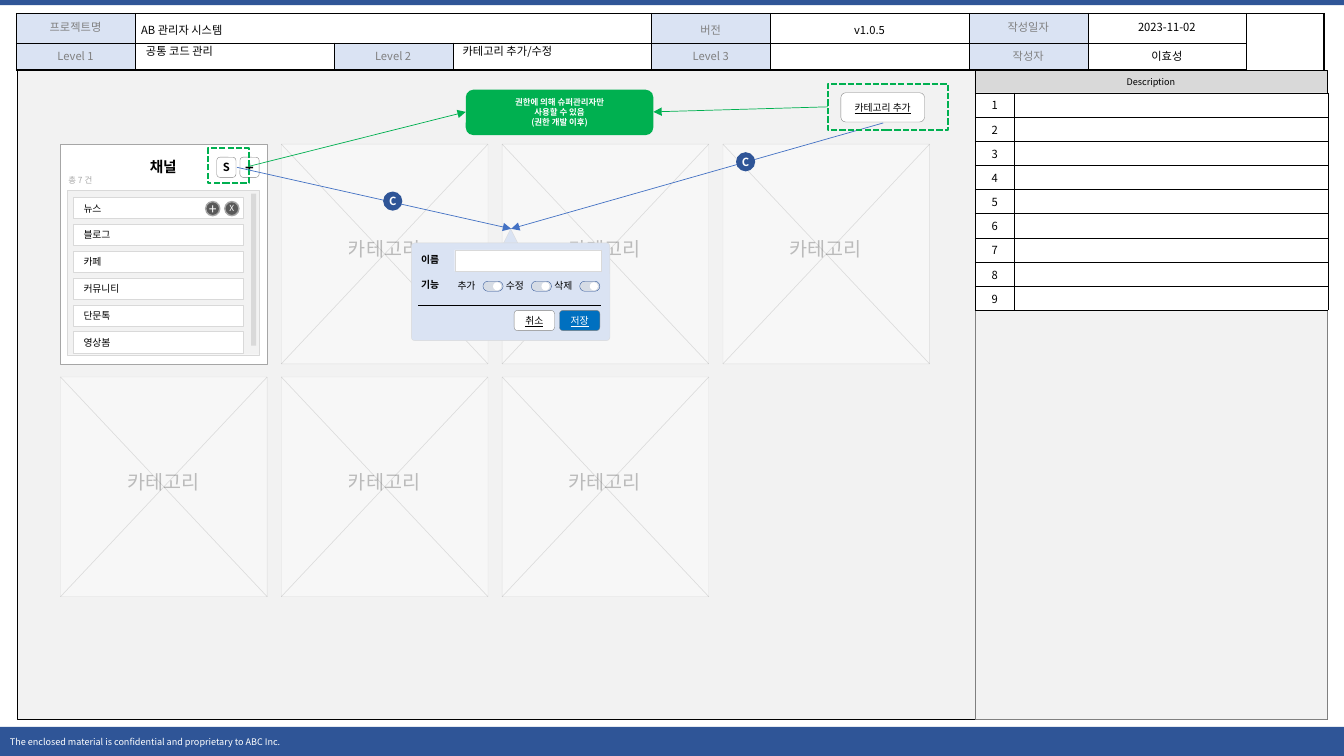
from lxml import etree
from pptx import Presentation
from pptx.dml.color import RGBColor
from pptx.enum.dml import MSO_LINE
from pptx.enum.shapes import MSO_CONNECTOR, MSO_SHAPE as S
from pptx.enum.text import MSO_ANCHOR as V, PP_ALIGN as A
from pptx.oxml.ns import qn
from pptx.util import Inches, Pt

# Content
FONT = "Noto Sans CJK KR"
FOOTER = "The enclosed material is confidential and proprietary to ABC Inc."
HEADER = [  # label, value pairs; None is covered by a merged cell
    ["프로젝트명", "AB 관리자 시스템", None, None, "버전", "v1.0.5", "작성일자", "2023-11-02", ""],
    ["Level 1", "", "Level 2", "", "Level 3", "", "작성자", "이효성", None],
]
HEADER_COLS = [1.18, 1.97, 1.18, 1.97, 1.18, 1.97, 1.18, 1.57, 0.77]
HEADER_ROWS = [0.29, 0.27]
TALL_LINES = {"AB 관리자 시스템", "버전", "v1.0.5"}
LEVELS = [(1.35, "공통 코드 관리"), (4.49, "카테고리 추가/수정")]
CHANNELS = ["뉴스", "블로그", "카페", "커뮤니티", "단문톡", "영상봄"]
PERMISSIONS = ["추가", "수정", "삭제"]
NOTICE = ["권한에 의해 슈퍼관리자만", "사용할 수 있음", "(권한 개발 이후)"]
PLACEHOLDER_CARDS = [(0, 1), (0, 2), (0, 3), (1, 0), (1, 1), (1, 2)]

# Colours
NAVY, PALE, BLUE, GREEN = "2F5597", "DAE3F3", "4472C4", "00B050"
BLACK, WHITE, GRAY, LIGHT, PANEL = "000000", "FFFFFF", "808080", "D9D9D9", "F2F2F2"

# Card grid
CARD_W, CARD_H = 2.05, 2.18
CARD_LEFT, CARD_TOP, STEP_X, STEP_Y = 0.6, 1.43, 2.19, 2.31

prs = Presentation()
prs.slide_width, prs.slide_height = Inches(13.33), Inches(7.5)
slide = prs.slides.add_slide(prs.slide_layouts[6])
shapes = slide.shapes


def paint(color_format, color, alpha=None):
    color_format.rgb = RGBColor.from_string(color)
    if alpha is not None:
        for srgb in color_format._xFill.iter(qn("a:srgbClr")):
            etree.SubElement(srgb, qn("a:alpha"), val=str(alpha * 1000))


def fill_with(fill, color, alpha=None):
    fill.solid()
    paint(fill.fore_color, color, alpha)


def write(frame, lines, size, color=BLACK, bold=False, underline=False, align=A.CENTER,
          anchor=V.MIDDLE, inset=(0.1, 0.05), wrap=True, alpha=None, spacing=None):
    frame.word_wrap = wrap
    frame.vertical_anchor = anchor
    frame.margin_left = frame.margin_right = Inches(inset[0])
    frame.margin_top = frame.margin_bottom = Inches(inset[1])
    for i, line in enumerate([lines] if isinstance(lines, str) else lines):
        para = frame.add_paragraph() if i else frame.paragraphs[0]
        para.alignment = align
        if spacing:
            para.line_spacing = spacing
        if not line:  # keeps an empty cell as low as its row
            etree.SubElement(para._p, qn("a:endParaRPr"), sz=str(int(size * 100)))
            continue
        run = para.add_run()
        run.text = line
        run.font.name, run.font.size = FONT, Pt(size)
        run.font.bold, run.font.underline = bold, underline
        fill_with(run.font.fill, color, alpha)
        rpr = run._r.get_or_add_rPr()
        etree.SubElement(rpr, qn("a:ea"), typeface=FONT)


def box(x, y, w, h, fill=None, line=None, width=0.25, kind=S.RECTANGLE, adj=None,
        dash=None, fill_alpha=None, line_alpha=None):
    shape = shapes.add_shape(kind, Inches(x), Inches(y), Inches(w), Inches(h))
    shape.shadow.inherit = False
    if adj is not None:
        shape.adjustments[0] = adj
    if fill:
        fill_with(shape.fill, fill, fill_alpha)
    else:
        shape.fill.background()
    if line:
        fill_with(shape.line.fill, line, line_alpha)
        shape.line.width = Pt(width)
        if dash:
            shape.line.dash_style = dash
    else:
        shape.line.fill.background()
    return shape


def label(x, y, w, h, lines, size, **style):
    frame = shapes.add_textbox(Inches(x), Inches(y), Inches(w), Inches(h)).text_frame
    write(frame, lines, size, **{"anchor": V.TOP, **style})


def connect(start, end, color, alpha=None, arrow=False):
    line = shapes.add_connector(MSO_CONNECTOR.STRAIGHT, *map(Inches, (*start, *end)))
    fill_with(line.line.fill, color, alpha)
    line.line.width = Pt(0.5)
    if arrow:
        etree.SubElement(line.line._get_or_add_ln(), qn("a:tailEnd"), type="triangle")
    etree.SubElement(line._element.spPr, qn("a:effectLst"))


def button(x, y, w, h, text, size, fill=WHITE, color=BLACK, bold=False, underline=True):
    shape = box(x, y, w, h, fill, GRAY, kind=S.ROUNDED_RECTANGLE)
    write(shape.text_frame, text, size, color, bold, underline, inset=(0.04, 0.04))


def disc(x, y, d, text, size, fill, line=None, bold=False):
    shape = box(x, y, d, d, fill, line, 1, S.OVAL)
    write(shape.text_frame, text, size, WHITE, bold, inset=(0, 0), wrap=False)


def grid(x, y, cols, rows):
    table = shapes.add_table(len(rows), len(cols), Inches(x), Inches(y),
                             Inches(sum(cols)), Inches(sum(rows))).table
    table.first_row = table.horz_banding = False
    for col, w in zip(table.columns, cols):
        col.width = Inches(w)
    for row, h in zip(table.rows, rows):
        row.height = Inches(h)
    return table


def style_cell(cell, text, size, fill, inset, thick="", **style):
    write(cell.text_frame, text, size, inset=inset, **style)
    cell.margin_left = cell.margin_right = Inches(inset[0])
    cell.margin_top = cell.margin_bottom = Inches(inset[1])
    cell.vertical_anchor = style.get("anchor", V.MIDDLE)
    fill_with(cell.fill, fill)
    props = cell._tc.get_or_add_tcPr()
    for i, side in enumerate("LRTB"):
        edge = etree.Element(qn("a:ln" + side), w=str(Pt(1.5 if side in thick else 0.25)))
        solid = etree.SubElement(edge, qn("a:solidFill"))
        etree.SubElement(solid, qn("a:srgbClr"), val=BLACK)
        props.insert(i, edge)


# Top and bottom bars
box(0, 0, 13.33, 0.05, NAVY)
footer = box(0, 7.21, 13.33, 0.29, NAVY)
write(footer.text_frame, FOOTER, 6.5, WHITE, align=A.LEFT)

# Header table
header = grid(0.16, 0.13, HEADER_COLS, HEADER_ROWS)
for r, texts in enumerate(HEADER):
    for c, text in enumerate(texts):
        is_label = c % 2 == 0 and bool(text)
        tall = text in TALL_LINES
        style_cell(header.cell(r, c), text or "", 8, PALE if is_label else WHITE, (0.06, 0.05),
                   thick=("B" if r else "") + ("R" if c == 8 else ""),
                   color=GRAY if is_label else BLACK, anchor=V.TOP,
                   align=A.LEFT if (r, c) == (0, 1) else A.CENTER, spacing=1.2 if tall else None)
header.cell(0, 1).merge(header.cell(0, 3))
header.cell(0, 8).merge(header.cell(1, 8))

# Main panel and description panel
box(0.17, 0.7, 12.99, 6.44, PANEL, BLACK)
box(9.67, 0.7, 3.49, 6.44, None, GRAY)
description = box(9.67, 0.7, 3.49, 0.22, LIGHT, BLACK)
write(description.text_frame, "Description", 6.5, inset=(0.07, 0.03))

# Placeholder cards
for row, col in PLACEHOLDER_CARDS:
    x, y = CARD_LEFT + col * STEP_X, CARD_TOP + row * STEP_Y
    right, bottom = x + CARD_W, y + CARD_H
    box(x, y, CARD_W, CARD_H, WHITE, BLACK, fill_alpha=43, line_alpha=10)
    connect((x, y), (right, bottom), BLACK, 10)
    connect((x, bottom), (right, y), BLACK, 10)
    label(x + 0.56, y + 0.88, 0.92, 0.32, "카테고리", 14, alpha=24, inset=(0.04, 0.04), wrap=False)

# Description table
notes = grid(9.67, 0.92, [0.39, 3.11], [0.24] * 9)
for r in range(9):
    for c, text in enumerate((str(r + 1), "")):
        style_cell(notes.cell(r, c), text, 8, WHITE, (0.04, 0.04))

# Level values and add button
for x, text in LEVELS:
    label(x, 0.39, 1.97, 0.24, text, 8, align=A.LEFT, anchor=V.MIDDLE, spacing=0.9)
button(8.34, 0.92, 0.83, 0.29, "카테고리 추가", 7)
connect((8.76, 1.22), (5.07, 2.27), BLUE, arrow=True)

# Edit popup
box(4.97, 2.27, 0.19, 0.19, PALE, LIGHT, kind=S.ISOSCELES_TRIANGLE)
box(4.08, 2.41, 1.97, 0.97, PALE, LIGHT, kind=S.ROUNDED_RECTANGLE, adj=0.037)
connect((4.15, 3.03), (5.96, 3.03), BLACK)
button(5.55, 3.08, 0.4, 0.2, "저장", 7, "0070C0", WHITE)
button(5.1, 3.08, 0.4, 0.2, "취소", 7)
box(4.51, 2.48, 1.45, 0.21, WHITE, LIGHT)
for y, text in ((2.47, "이름"), (2.72, "기능")):
    label(4.08, y, 0.4, 0.22, text, 7, bold=True, align=A.LEFT, wrap=False)
for i, text in enumerate(PERMISSIONS):
    x = 4.79 + i * 0.48
    box(x, 2.79, 0.2, 0.1, "D6DCE5", NAVY, kind=S.ROUNDED_RECTANGLE, adj=0.5)
    box(x + 0.1, 2.8, 0.08, 0.08, WHITE, kind=S.ROUNDED_RECTANGLE, adj=0.5)
    label(x - 0.35, 2.73, 0.4, 0.22, text, 7, align=A.LEFT, wrap=False)

# Permission notice
notice = box(4.62, 0.89, 1.86, 0.45, GREEN, kind=S.ROUNDED_RECTANGLE)
write(notice.text_frame, NOTICE, 6, WHITE, True, inset=(0, 0))
box(8.21, 0.83, 1.19, 0.46, None, GREEN, 1.5, dash=MSO_LINE.SQUARE_DOT)

# Channel card
box(CARD_LEFT, CARD_TOP, CARD_W, CARD_H, WHITE, "A6A6A6")
label(0.95, 1.52, 1.34, 0.28, "채널", 10.5, bold=True)
box(0.67, 1.89, 1.9, 1.63, PANEL, LIGHT)
box(2.49, 1.92, 0.05, 1.51, LIGHT)
for i, text in enumerate(CHANNELS):
    item = box(0.73, 1.96 + i * 0.266, 1.68, 0.21, WHITE, LIGHT)
    write(item.text_frame, text, 7, align=A.LEFT)
label(0.58, 1.69, 0.5, 0.2, "총 7 건", 6, color="A6A6A6", align=A.LEFT)
button(2.38, 1.56, 0.19, 0.2, "+", 10.5, bold=True, underline=False)
button(2.15, 1.56, 0.19, 0.2, "S", 8, bold=True, underline=False)
disc(2.23, 2, 0.14, "X", 6, "595959", "A6A6A6")
disc(2.04, 2, 0.14, "+", 10, "595959", "A6A6A6")
box(2.06, 1.47, 0.41, 0.35, None, GREEN, 1.5, dash=MSO_LINE.SQUARE_DOT)

# Callout arrows and markers
connect((2.47, 1.65), (4.62, 1.11), GREEN, arrow=True)
connect((2.35, 1.66), (5.07, 2.27), BLUE, arrow=True)
connect((8.21, 1.06), (6.48, 1.11), GREEN, arrow=True)
for x, y in ((7.3, 1.51), (3.8, 1.9)):
    disc(x, y, 0.19, "C", 8, NAVY, bold=True)

prs.save("out.pptx")
